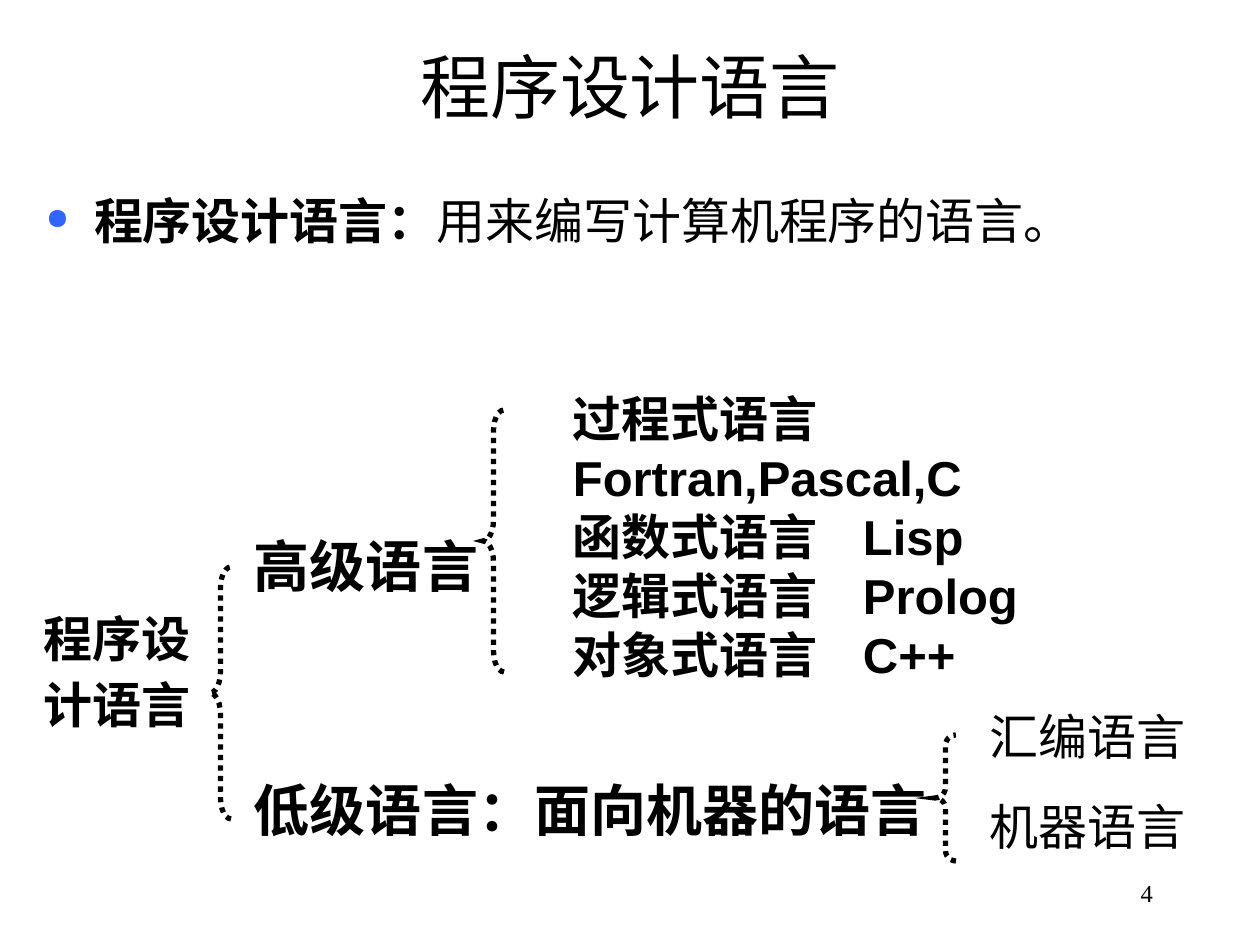
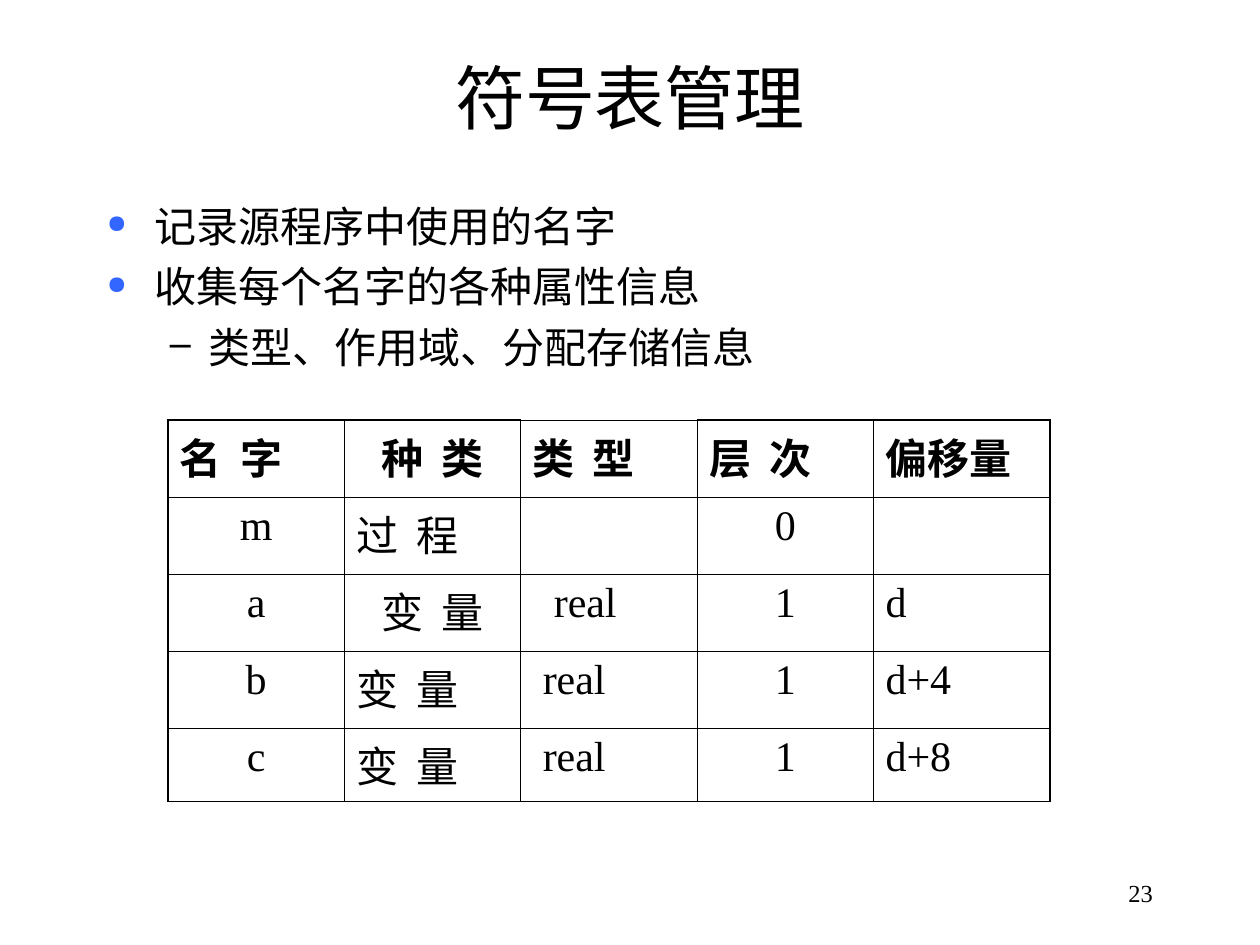
from lxml import etree
from pptx import Presentation
from pptx import util as u
from pptx.dml.color import RGBColor
from pptx.enum import dml, shapes, text
from pptx.oxml import ns

BLACK, BLUE = "000000", "3366FF"
ARIAL, TIMES, NOTO = "Arial", "Times New Roman", "Noto Sans CJK SC"
LEFT, MID, RIGHT = text.PP_ALIGN.LEFT, text.PP_ALIGN.CENTER, text.PP_ALIGN.RIGHT
CENTER = text.MSO_ANCHOR.MIDDLE
SIDE, EDGE = 12, 6
DOT = dict(char="●", tint=BLUE, scale=60, left=48, hang=48)
DASH = dict(char="–", tint=BLACK, scale=90, left=102, hang=39)


def px(n):
    return u.Emu(round(n * 914400 / 126))


def ink(code):
    return RGBColor.from_string(code)


def put(item, **values):
    for key, value in values.items():
        setattr(item, key, value)


def node(parent, tag, **values):
    return etree.SubElement(parent, ns.qn("a:" + tag),
                            {key: str(value) for key, value in values.items()})


def write(para, words, size, face, bold=False, gap=None):
    run = para.add_run()
    run.text = words
    put(run.font, size=u.Pt(size), name=face, bold=bold)
    run.font.color.rgb = ink(BLACK)
    props = run.font._element
    node(props, "ea", typeface=NOTO)
    if gap:
        props.set("spc", str(gap))


def mark(para, char, tint, scale, left, hang):
    props = para._p.get_or_add_pPr()
    props.set("marL", str(px(left)))
    props.set("indent", str(px(-hang)))
    node(node(props, "buClr"), "srgbClr", val=tint)
    node(props, "buSzPct", val=scale * 1000)
    node(props, "buChar", char=char)


def stop(para, at):
    tabs = node(para._p.get_or_add_pPr(), "tabLst")
    node(tabs, "tab", pos=px(at), algn="l")


def frame(slide, x, y, w, h):
    body = slide.shapes.add_textbox(px(x), px(y), px(w), px(h)).text_frame
    put(body, word_wrap=True, margin_left=px(SIDE), margin_right=px(SIDE),
        margin_top=px(EDGE), margin_bottom=px(EDGE))
    return body


def lines(slide, box, rows, size, face, bold=False, before=0, pitch=1.2,
          tab=None, marks=None):
    body = frame(slide, *box)
    for i, row in enumerate(rows):
        para = body.add_paragraph() if i else body.paragraphs[0]
        if marks:
            mark(para, **marks[i])
        if tab:
            stop(para, tab)
        para.line_spacing = u.Pt(round(size * pitch, 1))
        if i:
            para.space_before = u.Pt(before)
        parts = [(row, bold)] if isinstance(row, str) else row
        for words, heavy in parts:
            write(para, words, size, face, heavy)


def page(deck, name, number, top):
    slide = deck.slides.add_slide(deck.slide_layouts[5])
    title = slide.shapes.title
    put(title, left=px(95), top=px(top), width=px(1070), height=px(100))
    put(title.text_frame, vertical_anchor=CENTER, word_wrap=True)
    para = title.text_frame.paragraphs[0]
    para.alignment = MID
    write(para, name, 40, ARIAL)
    foot = frame(slide, 903, 861, 262, 63)
    foot.vertical_anchor = CENTER
    foot.paragraphs[0].alignment = RIGHT
    write(foot.paragraphs[0], number, 14, TIMES)
    return slide


def brace(slide, x, y, h, curve):
    shape = slide.shapes.add_shape(shapes.MSO_SHAPE.LEFT_BRACE,
                                   px(x), px(y), px(21), px(h))
    shape.adjustments[0] = curve
    shape.shadow.inherit = False
    shape.fill.background()
    put(shape.line, width=u.Pt(3), dash_style=dml.MSO_LINE.ROUND_DOT)
    shape.line.color.rgb = ink(BLACK)
    node(shape._element.spPr.find(ns.qn("a:ln")), "miter", lim=800000)


def tree(slide, x, y):
    for dx, dy, h, curve in ((179, 184, 252, 1), (904, 352, 126, 0.5),
                             (452, 27, 262, 1)):
        brace(slide, x + dx, y + dy, h, curve)
    lines(slide, (x + 1, y + 226, 179, 116), ["程序设", "计语言"],
          28, TIMES, True, before=7, pitch=1.08)
    lines(slide, (x + 211, y + 143, 714, 305),
          ["高级语言", "低级语言：面向机器的语言"], 32, TIMES, True, before=101)
    lines(slide, (x + 530, y, 527, 307),
          ["过程式语言 Fortran,Pascal,C", "函数式语言\tLisp",
           "逻辑式语言\tProlog", "对象式语言\tC++"],
          28, ARIAL, True, tab=290)
    lines(slide, (x + 947, y + 318, 228, 161), ["汇编语言", "机器语言"],
          28, ARIAL, before=17.5)


def edge(cell, side, width):
    line = node(cell._tc.get_or_add_tcPr(), side, w=u.Pt(width))
    node(node(line, "solidFill"), "srgbClr", val=BLACK)


def grid(slide, x, y, w):
    rows = [["名 字", "种 类", "类 型", "层 次", "偏移量"],
            ["m", "过 程", "", "0", ""],
            ["a", "变 量", "real", "1", "d"],
            ["b", "变 量", "real", "1", "d+4"],
            ["c", "变 量", "real", "1", "d+8"]]
    mids = {(0, 1), (2, 1)} | {(r, c) for r in range(1, 5) for c in (0, 3)}
    pads = {(2, 2): 21, (3, 2): 10, (4, 2): 10}
    last = len(rows) - 1
    table = slide.shapes.add_table(5, 5, px(x), px(y), px(w), px(381)).table
    put(table, first_row=False, horz_banding=False)
    for i in range(5):
        table.columns[i].width = px(w / 5)
        table.rows[i].height = px(77 if i < last else 73)
    for r, row in enumerate(rows):
        for c, words in enumerate(row):
            cell = table.cell(r, c)
            put(cell, margin_left=px(SIDE + pads.get((r, c), 0)),
                margin_right=px(SIDE), margin_top=px(EDGE),
                margin_bottom=px(EDGE))
            outer = dict(lnL=c == 0, lnR=c == last,
                         lnT=r == 0 and c != 2, lnB=False)
            for side, thick in outer.items():
                edge(cell, side, 1.08 if thick else 0.45)
            cell.fill.background()
            para = cell.text_frame.paragraphs[0]
            para.alignment = MID if (r, c) in mids else LEFT
            if words:
                write(para, words, 24, TIMES, r == 0,
                      250 if " " in words else None)


def kinds(deck):
    slide = page(deck, "程序设计语言", "4", 35)
    lines(slide, (34, 185, 1181, 100),
          [[("程序设计语言：", True), ("用来编写计算机程序的语言。", False)]],
          28, NOTO, marks=[DOT])
    tree(slide, 31, 383)


def names(deck):
    slide = page(deck, "符号表管理", "23", 47)
    lines(slide, (95, 194, 1071, 197),
          ["记录源程序中使用的名字", "收集每个名字的各种属性信息",
           "类型、作用域、分配存储信息"],
          24, TIMES, before=6, marks=[DOT, DOT, DASH])
    grid(slide, 168, 420, 882)


def main():
    deck = Presentation()
    put(deck, slide_width=px(1260), slide_height=px(945))
    kinds(deck)
    names(deck)
    deck.save("out.pptx")


if __name__ == "__main__":
    main()
